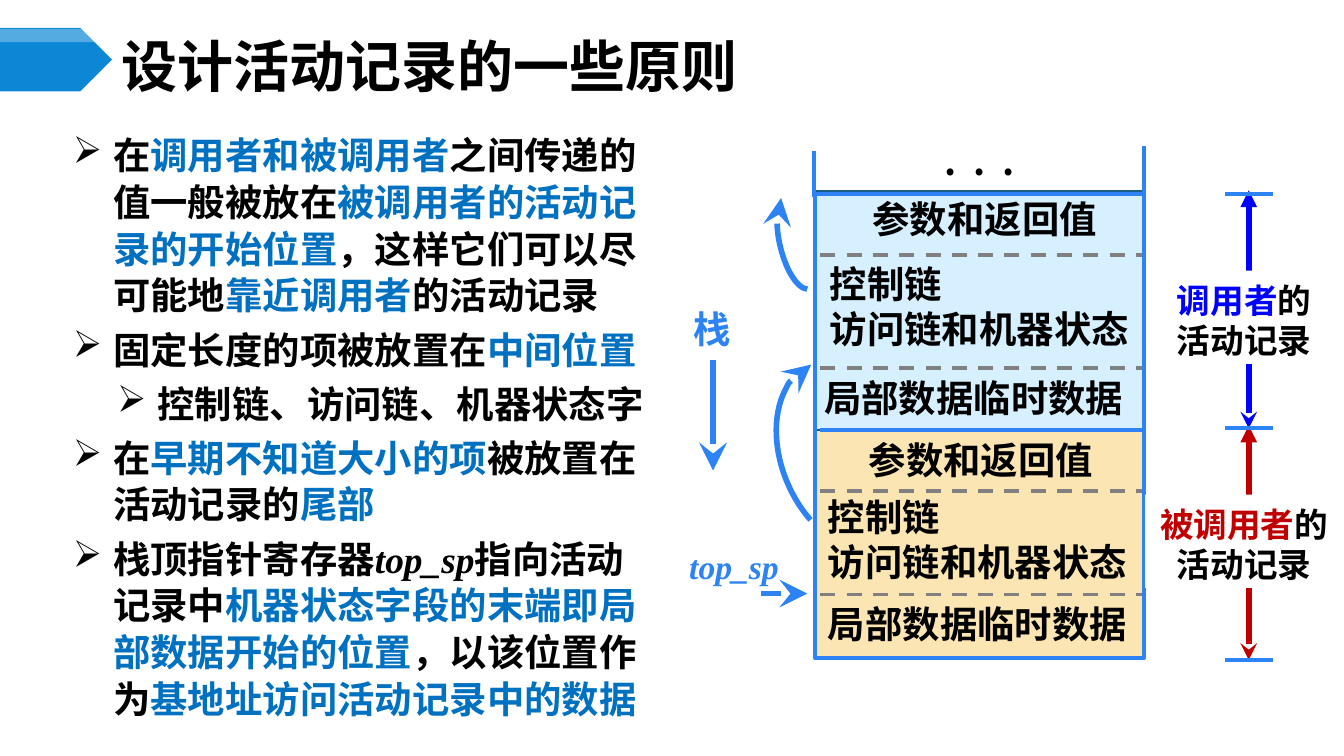
from pptx import Presentation
from pptx.util import Pt
from pptx.dml.color import RGBColor
from pptx.enum.dml import MSO_LINE
from pptx.enum.shapes import MSO_SHAPE as Shp, MSO_CONNECTOR as Con
from pptx.enum.text import MSO_ANCHOR as Anc, PP_ALIGN as Al
from pptx.oxml.ns import qn
from lxml.etree import SubElement as Sub

SANS, SERIF = "Noto Sans CJK SC", "Times New Roman"
BLACK, BLUE, SKY, GRAY = "000000", "0070C0", "2D83F4", "808080"


def rgb(code):
    return RGBColor.from_string(code)


def shape(slide, kind, box, fill=None, line=None, width=2):
    item = slide.shapes.add_shape(kind, *map(Pt, box))
    item.shadow.inherit = False
    if fill:
        item.fill.solid()
        item.fill.fore_color.rgb = rgb(fill)
    else:
        item.fill.background()
    if line:
        item.line.color.rgb = rgb(line)
        item.line.width = Pt(width)
    else:
        item.line.fill.background()
    return item


def heads(item, head=None, tail=None, size="med"):
    ln = item.line._get_or_add_ln()
    for tag, kind in (("a:headEnd", head), ("a:tailEnd", tail)):
        if kind:
            Sub(ln, qn(tag), type=kind, w=size, len=size)


def line(slide, x1, y1, x2, y2, color=SKY, width=2, dash=False):
    item = slide.shapes.add_connector(Con.STRAIGHT, *map(Pt, (x1, y1, x2, y2)))
    item.line.color.rgb = rgb(color)
    item.line.width = Pt(width)
    if dash:
        item.line.dash_style = MSO_LINE.DASH
    Sub(item._element.spPr, qn("a:effectLst"))
    return item


def style(run, size, color=BLACK, face=SANS):
    font = run.font
    font.size, font.bold, font.name = Pt(size), True, face
    font.italic = face == SERIF
    font.color.rgb = rgb(color)
    Sub(run._r.get_or_add_rPr(), qn("a:ea"), typeface=face)


def write(para, parts, size):
    """Add runs given as (text, color) or (text, color, face)."""
    for text, *look in parts:
        run = para.add_run()
        run.text = text
        style(run, size, *look)


def frame(item, pads, anchor=Anc.TOP):
    tf = item.text_frame
    tf.word_wrap = True
    tf.vertical_anchor = anchor
    tf.margin_left = tf.margin_right = Pt(pads[0])
    tf.margin_top, tf.margin_bottom = Pt(pads[1]), Pt(pads[2])
    return tf


def label(slide, box, rows, size=20, align=Al.CENTER, item=None):
    """Write rows of runs into a new text box or a given shape."""
    mid = Anc.MIDDLE if item else Anc.TOP
    item = item or slide.shapes.add_textbox(*map(Pt, box))
    tf = frame(item, (7.2, 6.5, 3.6), mid)
    for i, parts in enumerate(rows):
        para = tf.add_paragraph() if i else tf.paragraphs[0]
        para.alignment = align
        para.line_spacing = Pt(size * 1.2)
        write(para, parts, size)


# Title with its pentagon marker
def banner(slide, box):
    x, y, w, h = box
    shape(slide, Shp.PENTAGON, (x, y, 60, 34), "0B87D6")
    gloss = shape(slide, Shp.PENTAGON, (x, y + 0.5, 60, 7), "FFFFFF")
    tint = gloss.fill._xPr.find(qn("a:solidFill"))[0]
    Sub(tint, qn("a:alpha"), val="30000")
    title = slide.shapes.add_textbox(*map(Pt, (x + 60, y + 6, w - 60, 28)))
    tf = frame(title, (5, 3, 3), Anc.MIDDLE)
    write(tf.paragraphs[0], [("设计活动记录的一些原则", BLACK)], 30)


# Bulleted principles
def rules(slide, box):
    items = [
        (0, [("在", BLACK), ("调用者和被调用者", BLUE),
             ("之间传递的值一般被放在", BLACK),
             ("被调用者的活动记录的开始位置", BLUE),
             ("，这样它们可以尽可能地", BLACK), ("靠近调用者", BLUE),
             ("的活动记录", BLACK)]),
        (0, [("固定长度的项被放置在", BLACK), ("中间位置", BLUE)]),
        (1, [("控制链、访问链、机器状态字", BLACK)]),
        (0, [("在", BLACK), ("早期不知道大小的项", BLUE),
             ("被放置在活动记录的", BLACK), ("尾部", BLUE)]),
        (0, [("栈顶指针寄存器", BLACK), ("top_sp", BLACK, SERIF),
             ("指向活动记录中", BLACK),
             ("机器状态字段的末端即局部数据开始的位置", BLUE),
             ("，以该位置作为", BLACK),
             ("基地址访问活动记录中的数据", BLUE)]),
    ]
    tf = frame(slide.shapes.add_textbox(*map(Pt, box)), (5, 3, 3))
    for i, (level, parts) in enumerate(items):
        para = tf.add_paragraph() if i else tf.paragraphs[0]
        para.level = level
        para.line_spacing = Pt(25)
        if i:
            para.space_before = Pt(4)
        pPr = para._p.get_or_add_pPr()
        pPr.set("marL", str(Pt(21.6 + 23.8 * level)))
        pPr.set("indent", str(-Pt(21.6)))
        Sub(pPr, qn("a:buChar"), char="➢")
        write(para, parts, 20)


# One activation record: dash and text offsets from its top
def record(slide, box, fill, dashes, texts):
    x, y, w, h = box
    shape(slide, Shp.RECTANGLE, box, fill, "195F84", 1.25)
    for dy in dashes:
        line(slide, x + 3, y + dy, x + w, y + dy, GRAY, 2, True)
    rows = (["参数和返回值"], ["控制链", "访问链和机器状态"], ["局部数据临时数据"])
    for (dx, dy), words in zip(texts, rows):
        align = Al.CENTER if words == rows[0] else Al.LEFT
        wide = 168 if words == rows[0] else 200
        label(slide, (x + dx, y + dy, wide, 38),
              [[(word, BLACK)] for word in words], align=align)


# Stack of two records with an open top
def stack(slide, box):
    x, y, w, h = box
    cut = 128
    record(slide, (x, y + cut, w, h - cut), "FBE6B3", (32.5, 88),
           ((5, -3), (0, 28), (0, 85)))
    record(slide, (x, y, w, cut), "D6F0FF", (34, 94.5),
           ((7, -4), (1, 31), (-2, 92)))
    line(slide, x + 3, y + cut, x + w, y + cut)
    shape(slide, Shp.RECTANGLE, (x, y + 1.5, w, h - 1.5), None, SKY)
    line(slide, x - 0.5, y + 3, x - 0.5, y - 21.5)
    line(slide, x + w, y + 1.5, x + w, y - 24.5)
    label(slide, (x + 6.5, y - 35, 164, 38), [[(".  .  .", BLACK)]])


# Curved links, growth arrow and stack pointer
def links(slide, box):
    x, y, w, h = box
    arcs = (((x + 65, y + 89, 73.5, 107), 156.6, 161.94, 20.58),
            ((x + 63.5, y, 21, 53.5), 167.6, 168.31, 52.3))
    for place, turn, start, end in arcs:
        arc = shape(slide, Shp.ARC, place, None, SKY, 3)
        arc.adjustments[0], arc.adjustments[1] = start, end
        arc.rotation = turn
        arc._element.spPr.find(qn("a:xfrm")).set("flipV", "1")
        heads(arc, "stealth", size="lg")
    arrows = ((x + 28, y + 150, x + 28, y + 91),
              (x + 78.5, y + 216, x + 53.5, y + 216))
    for ends in arrows:
        heads(line(slide, *ends, width=3), "stealth", size="lg")
    label(slide, (x + 5, y + 55.5, 45.5, 38), [[("栈", SKY)]])
    label(slide, (x, y + 184, 78.5, 38), [[("top_sp", SKY, SERIF)]], 18)


# Span marker: double arrow with a label in its middle
def span(slide, box, owner, color, wide, drop):
    x, y, w, h = box
    mid = x + w / 2
    heads(line(slide, mid, y + h, mid, y, color, 3), "stealth", "triangle")
    plate = shape(slide, Shp.RECTANGLE,
                  (mid - wide / 2 - 2.5, y + drop, wide, 50), "FFFFFF")
    label(slide, None, [[(owner, color), ("的活动记录", BLACK)]], 18, item=plate)


def spans(slide, box):
    x, y, w, h = box
    span(slide, (x, y, w, 127.5), "调用者", "0000FF", 91.5, 43)
    span(slide, (x, y + 126, w, 125.5), "被调用者", "C00000", 106, 37)
    for dy in (2, 127.5, 251.5):
        line(slide, x + w, y + dy, x, y + dy)


def main():
    deck = Presentation()
    deck.slide_width, deck.slide_height = Pt(720), Pt(405)
    slide = deck.slides.add_slide(deck.slide_layouts[6])
    banner(slide, (0, 15, 684, 34))
    rules(slide, (34, 67, 320, 323))
    stack(slide, (436.5, 102.5, 176.5, 250))
    links(slide, (354, 102, 90, 222))
    spans(slide, (656, 102, 26, 252))
    deck.save("out.pptx")


if __name__ == "__main__":
    main()
